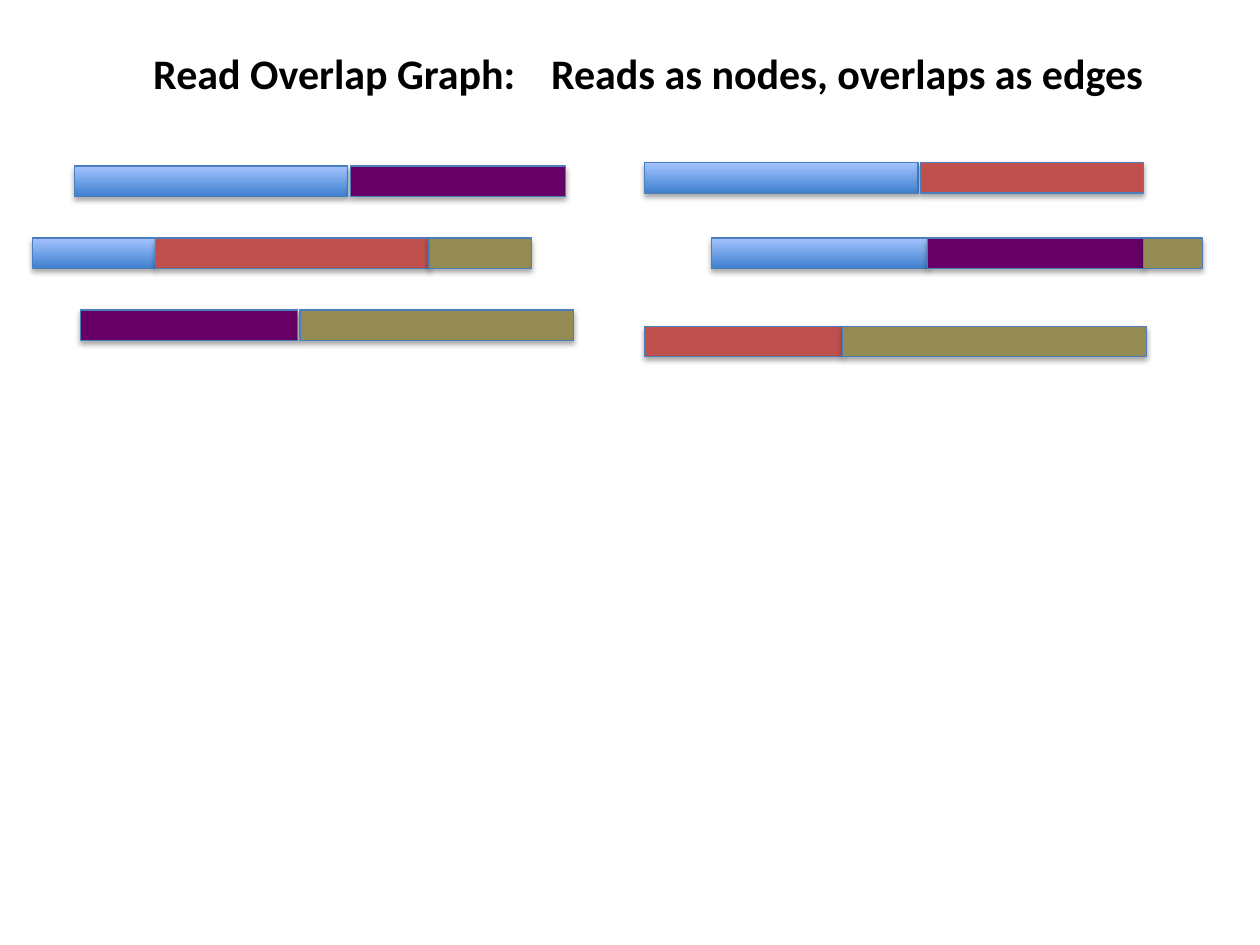
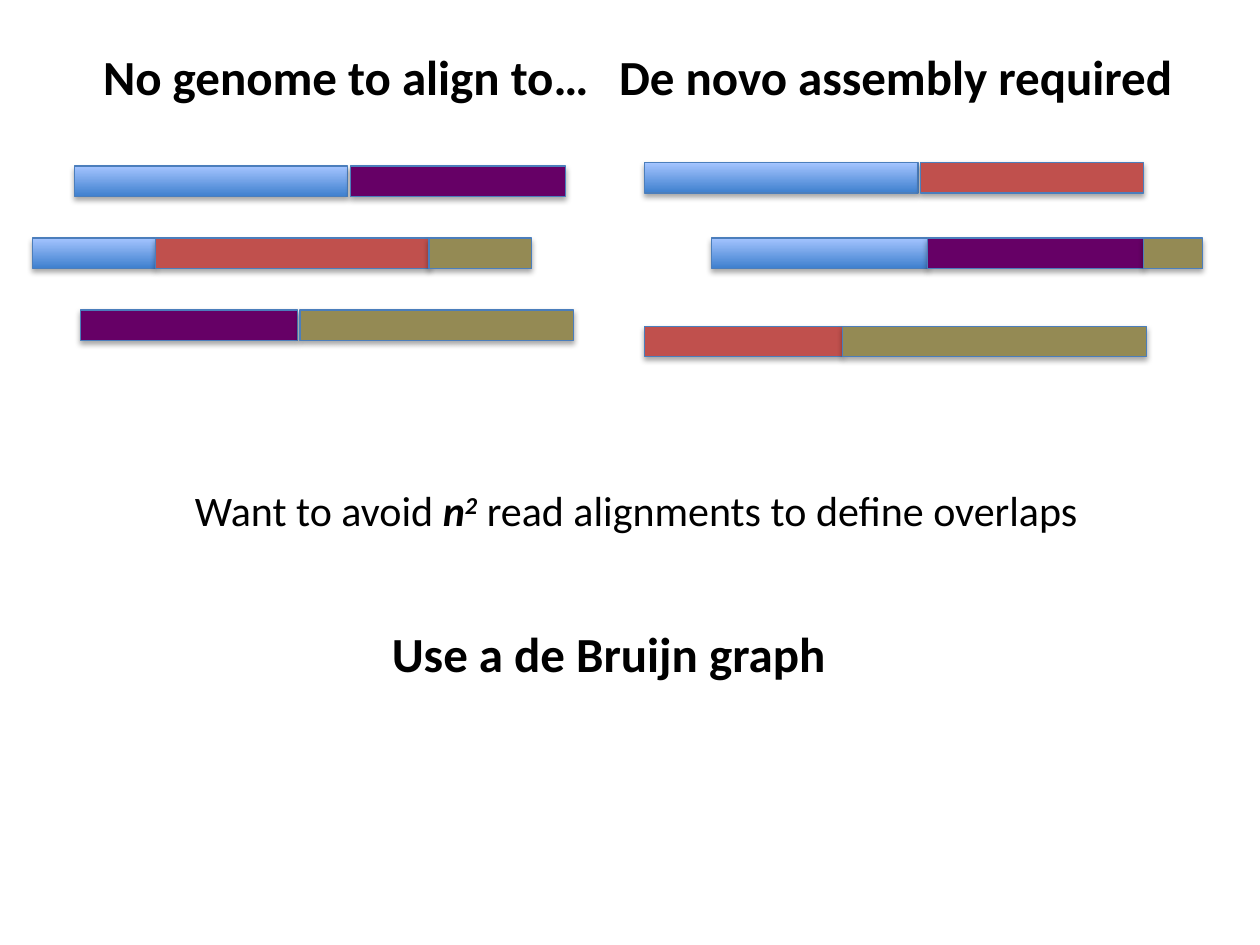
import pptx
import pptx.dml.color
import pptx.enum.shapes
import pptx.oxml
import pptx.oxml.ns
import pptx.util
from pptx.util import Cm

FONT = "Calibri"
BLACK = "000000"
OUTLINE = "4B7EBC"
BLUE = ("3F80CE", "A4C4FF")
PURPLE = "660066"
RED = "C0504D"
OLIVE = "948A54"
READ_HEIGHT = 0.61

# left, top, gap between segments, segments from left to right
READS = [
    (1.5, 3.35, 0.05, [(BLUE, 5.51), (PURPLE, 4.34)]),
    (1.63, 6.25, 0.05, [(PURPLE, 4.37), (OLIVE, 5.51)]),
    (14.35, 4.8, 0, [(BLUE, 4.35), (PURPLE, 4.35), (OLIVE, 1.19)]),
    (13, 3.28, 0.05, [(BLUE, 5.51), (RED, 4.5)]),
    (0.66, 4.8, 0, [(BLUE, 2.47), (RED, 5.52), (OLIVE, 2.07)]),
    (13, 6.58, 0, [(RED, 3.99), (OLIVE, 6.12)]),
]

SLIDES = [
    [
        {"at": (2.84, 0.84, 21, 1.27), "size": 24, "tab": 8.02,
         "runs": [("Read Overlap Graph:\tReads as nodes, overlaps as edges", "b")]},
    ],
    [
        {"at": (1.83, 0.81, 22.6, 1.45), "size": 28, "tab": 10.4,
         "runs": [("No genome to align to…\tDe novo assembly required", "b")]},
        {"at": (3.68, 9.65, 18.9, 1.27), "size": 24,
         "runs": [("Want to avoid ", ""), ("n", "bi"), ("2", "bi^"),
                  (" read alignments to define overlaps", "")]},
        {"at": (7.65, 12.45, 9.6, 1.45), "size": 28,
         "runs": [("Use a de Bruijn graph", "b")]},
    ],
]


def rgb(color):
    return pptx.dml.color.RGBColor.from_string(color)


def element(tag, attributes=""):
    namespace = pptx.oxml.ns.nsdecls("a")
    return pptx.oxml.parse_xml(f"<a:{tag} {namespace} {attributes}/>")


def add_shadow(segment):
    segment.shadow.inherit = False
    effects = segment._element.spPr.find(pptx.oxml.ns.qn("a:effectLst"))
    shadow = element("outerShdw", 'blurRad="40000" dist="23000" dir="5400000" rotWithShape="0"')
    black = element("srgbClr", f'val="{BLACK}"')
    black.append(element("alpha", 'val="35000"'))
    shadow.append(black)
    effects.append(shadow)


def add_segment(read, left, top, width, color):
    segment = read.shapes.add_shape(
        pptx.enum.shapes.MSO_SHAPE.RECTANGLE,
        Cm(left), Cm(top), Cm(width), Cm(READ_HEIGHT))
    if color is BLUE:
        segment.fill.gradient()
        segment.fill.gradient_angle = 90
        for stop, shade in zip(segment.fill.gradient_stops, BLUE):
            stop.color.rgb = rgb(shade)
    else:
        segment.fill.solid()
        segment.fill.fore_color.rgb = rgb(color)
    segment.line.color.rgb = rgb(OUTLINE)
    segment.line.width = pptx.util.Pt(0.75)
    add_shadow(segment)


def add_read(slide, left, top, gap, segments):
    read = slide.shapes.add_group_shape()
    for color, width in segments:
        add_segment(read, left, top, width, color)
        left += width + gap


def add_statement(slide, statement):
    box = slide.shapes.add_textbox(*map(Cm, statement["at"]))
    box.text_frame.word_wrap = True
    paragraph = box.text_frame.paragraphs[0]
    if "tab" in statement:
        stops = element("tabLst")
        stops.append(element("tab", f'pos="{Cm(statement["tab"])}" algn="l"'))
        paragraph._p.get_or_add_pPr().append(stops)
    for words, style in statement["runs"]:
        run = paragraph.add_run()
        run.text = words
        run.font.name = FONT
        run.font.size = pptx.util.Pt(statement["size"])
        run.font.color.rgb = rgb(BLACK)
        run.font.bold = "b" in style
        run.font.italic = "i" in style
        if "^" in style:
            run.font._element.set("baseline", "30000")


def main():
    deck = pptx.Presentation()
    deck.slide_width, deck.slide_height = Cm(25.4), Cm(19.05)
    for statements in SLIDES:
        slide = deck.slides.add_slide(deck.slide_layouts[6])
        for read in READS:
            add_read(slide, *read)
        for statement in statements:
            add_statement(slide, statement)
    deck.save("out.pptx")


if __name__ == "__main__":
    main()
